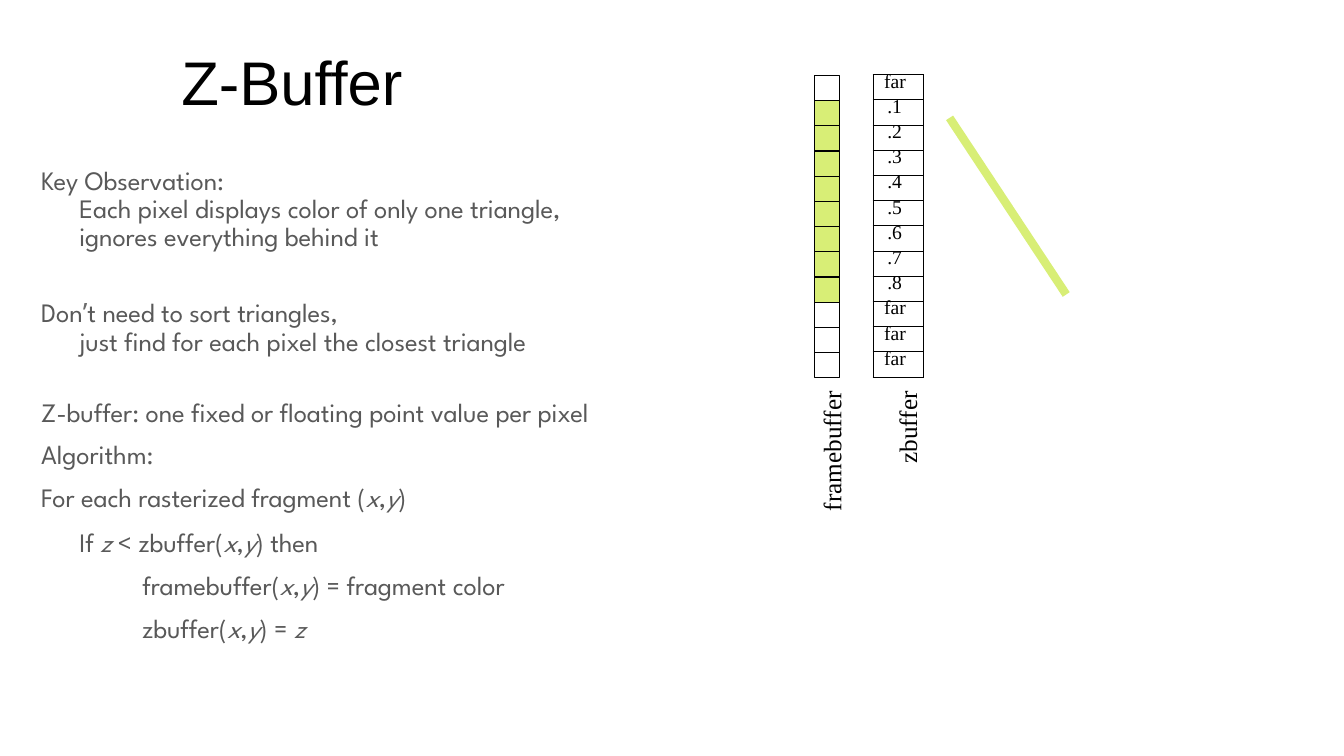
from lxml import etree
from pptx import Presentation
from pptx.dml.color import RGBColor
from pptx.enum.shapes import MSO_CONNECTOR, MSO_SHAPE
from pptx.enum.text import MSO_ANCHOR, MSO_AUTO_SIZE, PP_ALIGN
from pptx.oxml.ns import qn
from pptx.util import Cm, Pt

RECTANGLE = MSO_SHAPE.RECTANGLE
STRAIGHT = MSO_CONNECTOR.STRAIGHT
MIDDLE, TOP = MSO_ANCHOR.MIDDLE, MSO_ANCHOR.TOP
LEFT = PP_ALIGN.LEFT
NO_FIT = MSO_AUTO_SIZE.NONE
BLACK, WHITE, GREY, LIME = "000000", "FFFFFF", "595959", "D8EE76"
SERIF = "Times New Roman"


def rgb(value):
    return RGBColor.from_string(value)


def style(font, name, size, color):
    font.name, font.size = name, Pt(size)
    font.color.rgb = rgb(color)


prs = Presentation()
prs.slide_width, prs.slide_height = Cm(33.87), Cm(19.05)
slide = prs.slides.add_slide(prs.slide_layouts[5])
shapes = slide.shapes

# Title
title = shapes.title
title.left, title.top, title.width, title.height = Cm(4.57), Cm(0.76), Cm(12.88), Cm(2.24)
heading = title.text_frame
heading.text = "Z-Buffer"
heading.auto_size = NO_FIT
heading.vertical_anchor = MIDDLE
heading.margin_left = heading.margin_right = heading.margin_bottom = 0
heading.margin_top = Cm(0.33)
heading.paragraphs[0].alignment = LEFT
style(heading.paragraphs[0].runs[0].font, "Arial", 44, BLACK)

# Framebuffer pixels, coloured where the triangle covers them
depths = ["far", ".1", ".2", ".3", ".4", ".5", ".6", ".7", ".8", "far", "far", "far"]
pixel_size = Cm(7.62 / len(depths))
for row, depth in enumerate(depths):
    pixel = shapes.add_shape(RECTANGLE, Cm(20.52), Cm(1.9) + row * pixel_size,
                             pixel_size, pixel_size)
    pixel.shadow.inherit = False
    pixel.line.color.rgb = rgb(BLACK)
    pixel.line.width = Pt(0.75)
    if depth == "far":
        pixel.fill.background()
    else:
        pixel.fill.solid()
        pixel.fill.fore_color.rgb = rgb(LIME)

# Triangle seen from the side
triangle = shapes.add_connector(STRAIGHT, Cm(23.93), Cm(2.97), Cm(26.87), Cm(7.42))
triangle.line.color.rgb = rgb(LIME)
triangle.line.width = Pt(6)
etree.SubElement(triangle._element.spPr, qn("a:effectLst"))

# Rotated buffer names
for name, left, length in [("framebuffer", 20.57, 3.1), ("zbuffer", 22.48, 1.9)]:
    label = shapes.add_textbox(Cm(left), Cm(9.78), Cm(0.76), Cm(length)).text_frame
    label.text = name
    label.word_wrap = True
    label.margin_left = label.margin_right = label.margin_top = label.margin_bottom = 0
    label._txBody.bodyPr.set("vert", "vert270")
    style(label.paragraphs[0].runs[0].font, SERIF, 18, BLACK)

# Depth values of the z-buffer
zbuffer = shapes.add_table(len(depths), 1, Cm(22), Cm(1.88), Cm(1.27), Cm(7.62)).table
zbuffer.first_row = zbuffer.horz_banding = False
for row, depth in enumerate(depths):
    zbuffer.rows[row].height = pixel_size
    cell = zbuffer.cell(row, 0)
    cell.text = depth
    cell.vertical_anchor = TOP
    cell.margin_left = cell.margin_right = cell.margin_top = cell.margin_bottom = 0
    entry = cell.text_frame.paragraphs[0]
    entry.line_spacing = Pt(12.7)
    entry._p.get_or_add_pPr().set("marL", str(Cm(0.28 if depth == "far" else 0.36)))
    style(entry.runs[0].font, SERIF, 14, BLACK)
    cell_properties = cell._tc.get_or_add_tcPr()
    for side in ("a:lnL", "a:lnR", "a:lnT", "a:lnB"):
        border = etree.SubElement(cell_properties, qn(side), w=str(Pt(0.75)))
        border_fill = etree.SubElement(border, qn("a:solidFill"))
        etree.SubElement(border_fill, qn("a:srgbClr"), val=BLACK)
    cell.fill.solid()
    cell.fill.fore_color.rgb = rgb(WHITE)

# Explanation: text, left margin, first-line indent, line spacing, space before.
# Asterisks enclose italics and the apostrophe, which has its own font.
explanation = [
    ("Key Observation: \vEach pixel displays color of only one triangle,\v"
     "ignores everything behind it", 0.98, -0.96, 20, 0),
    ("Don*ʼ*t need to sort triangles, \vjust find for each pixel the closest triangle",
     0.98, -0.96, 21, 32.6),
    ("Z-buffer: one fixed or floating point value per pixel", 0.98, -0.96, 21, 29.7),
    ("Algorithm:", 0.02, 0, 21, 9),
    ("For each rasterized fragment (*x*,*y*)", 0.98, -0.96, 21, 9.7),
    ("If *z *< zbuffer(*x*,*y*) then \vframebuffer(*x*,*y*) = fragment color",
     2.57, -1.59, 31, 1.2),
    ("zbuffer(*x*,*y*) = *z*", 2.57, 0, 21, 9.7),
]
body = shapes.add_textbox(Cm(1.02), Cm(4.24), Cm(23.16), Cm(12.07)).text_frame
body.word_wrap = True
body.margin_left = body.margin_right = body.margin_top = body.margin_bottom = 0
for number, (text, margin, indent, spacing, before) in enumerate(explanation):
    paragraph = body.add_paragraph() if number else body.paragraphs[0]
    paragraph.line_spacing, paragraph.space_before = Pt(spacing), Pt(before)
    properties = paragraph._p.get_or_add_pPr()
    properties.set("marL", str(Cm(margin)))
    properties.set("indent", str(Cm(indent)))
    for line_number, line in enumerate(text.split("\v")):
        if line_number:
            paragraph.add_line_break()
        for position, piece in enumerate(line.split("*")):
            if not piece:
                continue
            run = paragraph.add_run()
            run.text = piece
            style(run.font, "League Spartan", 19, GREY)
            run._r.get_or_add_rPr().set("spc", "-5")
            if piece == "ʼ":
                style(run.font, "Noto Sans CJK JP", 19, "6C6C6C")
                run._r.get_or_add_rPr().set("spc", "-250")
            elif position % 2:
                run.font.italic = True

prs.save("out.pptx")
